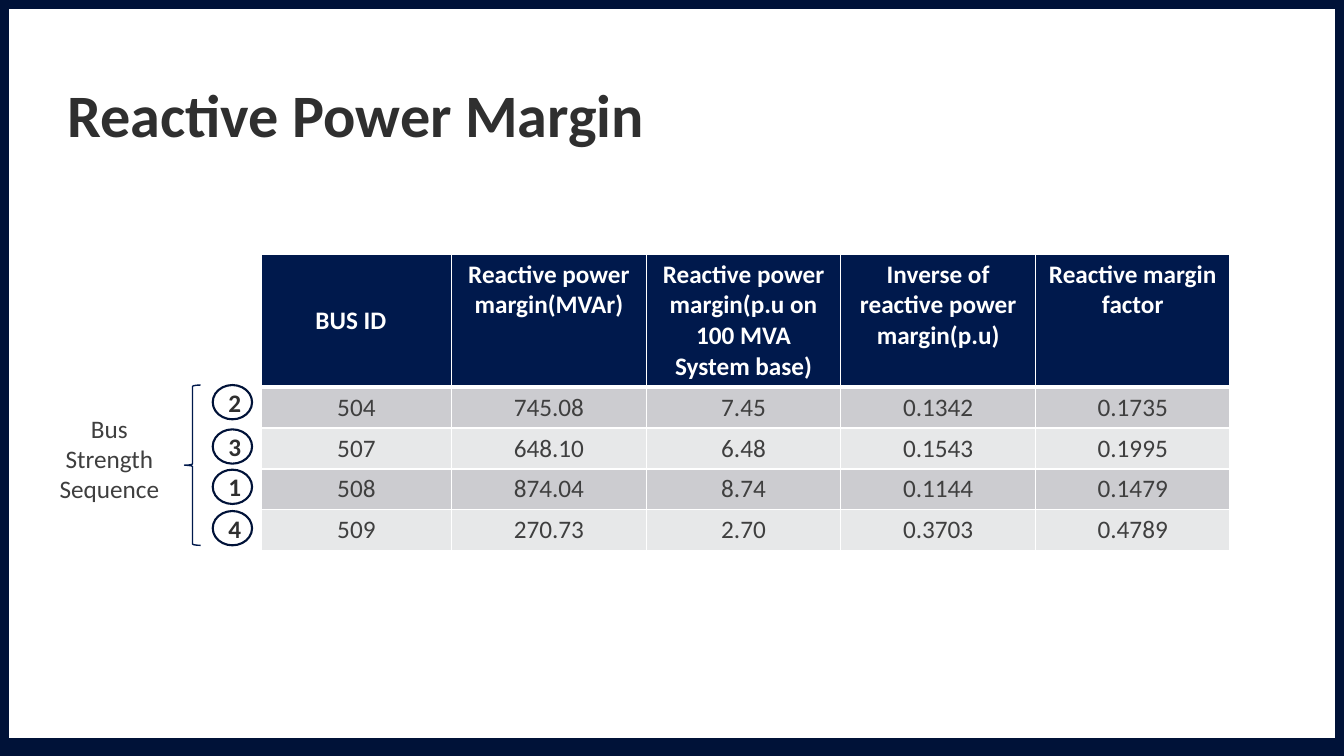
from dataclasses import dataclass

from lxml import etree
from pptx import Presentation
from pptx import util as u
from pptx.dml.color import RGBColor
from pptx.enum import shapes, text
from pptx.oxml import ns

PX = 9144  # 100 px to the inch
NAVY = RGBColor(0x00, 0x19, 0x4C)
DARK = RGBColor(0x00, 0x12, 0x38)
INK = RGBColor(0x2F, 0x2F, 0x2F)
GREY = RGBColor(0x3F, 0x3F, 0x3F)
WHITE = RGBColor(0xFF, 0xFF, 0xFF)
BANDS = (RGBColor(0xCC, 0xCC, 0xD0), RGBColor(0xE7, 0xE8, 0xE9))


@dataclass(frozen=True)
class Box:
    x: int
    y: int
    w: int
    h: int

    def emu(self) -> tuple[int, ...]:
        return tuple(v * PX for v in (self.x, self.y, self.w, self.h))


@dataclass(frozen=True)
class Font:
    size: int
    color: RGBColor
    bold: bool = False


@dataclass(frozen=True)
class Rank:
    label: str
    y: int


HEAD = Font(18, WHITE, True)
BODY = Font(18, GREY)
MARK = Font(18, INK, True)
TITLE = Font(43, INK, True)

COLS = (189, 193, 193, 193, 193)
ROWS = (128, 39, 39, 39, 39)
DATA = (
    ("BUS ID", "Reactive power margin(MVAr)",
     "Reactive power margin(p.u on 100 MVA System base)",
     "Inverse of reactive power margin(p.u)", "Reactive margin factor"),
    ("504", "745.08", "7.45", "0.1342", "0.1735"),
    ("507", "648.10", "6.48", "0.1543", "0.1995"),
    ("508", "874.04", "8.74", "0.1144", "0.1479"),
    ("509", "270.73", "2.70", "0.3703", "0.4789"),
)
RANKS = (Rank("2", 382), Rank("3", 426), Rank("1", 466), Rank("4", 507))


def write(frame, words: str, font: Font, align=text.PP_ALIGN.CENTER):
    para = frame.paragraphs[0]
    para.alignment = align
    run = para.add_run()
    run.text = words
    run.font.name = "Calibri"
    run.font.size = u.Pt(font.size)
    run.font.bold = font.bold
    run.font.color.rgb = font.color
    return para


def add_text(slide, box: Box, words: str, font: Font, align=text.PP_ALIGN.CENTER):
    frame = slide.shapes.add_textbox(*box.emu()).text_frame
    frame.word_wrap = True
    return frame, write(frame, words, font, align)


def outline(slide, kind, box: Box, color: RGBColor, width: float):
    """Add an unfilled preset shape."""
    shape = slide.shapes.add_shape(kind, *box.emu())
    shape.shadow.inherit = False
    shape.fill.background()
    shape.line.color.rgb = color
    shape.line.width = u.Pt(width)
    return shape


def edge(cell, row: int) -> None:
    """Rule a cell in white, with a thick line below the header."""
    props = cell._tc.get_or_add_tcPr()
    thick = {0: "B", 1: "T"}.get(row)
    for side in "LRTB":
        width = u.Pt(3 if side == thick else 1)
        line = etree.SubElement(props, ns.qn(f"a:ln{side}"), w=str(width))
        fill = etree.SubElement(line, ns.qn("a:solidFill"))
        etree.SubElement(fill, ns.qn("a:srgbClr"), val=str(WHITE))


def add_grid(slide) -> None:
    box = Box(259, 252, sum(COLS), sum(ROWS))
    grid = slide.shapes.add_table(len(ROWS), len(COLS), *box.emu()).table
    for col, width in zip(grid.columns, COLS):
        col.width = width * PX
    for r, (height, line) in enumerate(zip(ROWS, DATA)):
        grid.rows[r].height = height * PX
        for c, words in enumerate(line):
            cell = grid.cell(r, c)
            edge(cell, r)
            cell.fill.solid()
            cell.fill.fore_color.rgb = BANDS[(r - 1) % 2] if r else NAVY
            write(cell.text_frame, words, BODY if r else HEAD)
    first = grid.cell(0, 0)
    first.vertical_anchor = text.MSO_ANCHOR.MIDDLE
    first.margin_right = 21 * PX


def add_title(slide) -> None:
    frame, para = add_text(slide, Box(57, 23, 911, 126), "Reactive Power Margin",
                           TITLE, text.PP_ALIGN.LEFT)
    frame.vertical_anchor = text.MSO_ANCHOR.BOTTOM
    frame.margin_bottom = 0
    para.line_spacing = 0.9


def add_rank(slide, rank: Rank) -> None:
    oval = outline(slide, shapes.MSO_SHAPE.OVAL, Box(211, rank.y, 39, 34), DARK, 1.5)
    oval.text_frame.vertical_anchor = text.MSO_ANCHOR.MIDDLE
    write(oval.text_frame, rank.label, MARK)


def main() -> None:
    deck = Presentation()
    deck.slide_width, deck.slide_height = 1333 * PX, 750 * PX
    slide = deck.slides.add_slide(deck.slide_layouts[6])
    add_grid(slide)
    add_title(slide)
    for rank in RANKS:
        add_rank(slide, rank)
    outline(slide, shapes.MSO_SHAPE.LEFT_BRACE, Box(183, 382, 16, 159), NAVY, 1)
    add_text(slide, Box(46, 405, 125, 101), "Bus Strength Sequence", BODY)
    outline(slide, shapes.MSO_SHAPE.RECTANGLE, Box(0, 0, 1333, 741), DARK, 12.5)
    deck.save("out.pptx")


if __name__ == "__main__":
    main()
